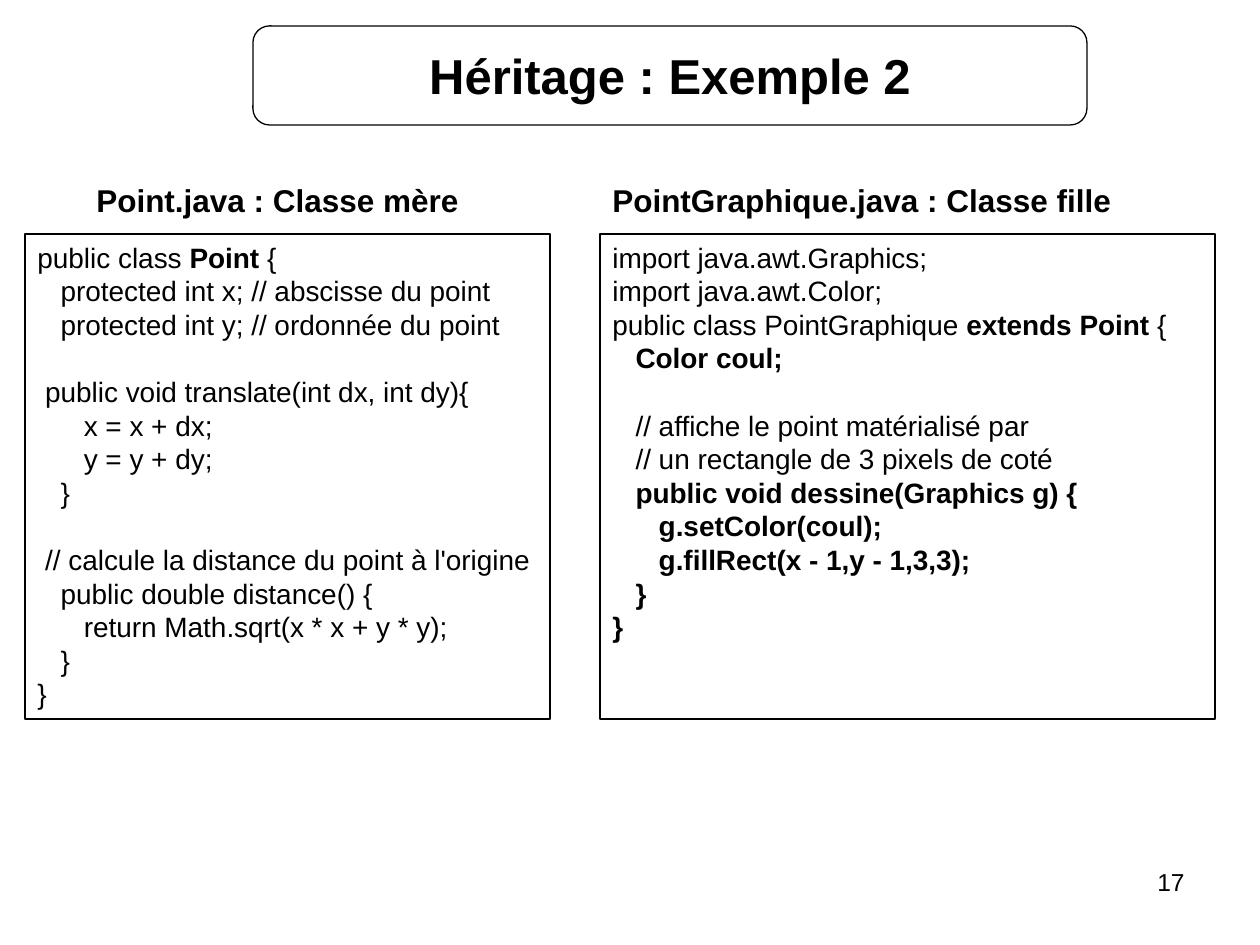
"""Build the slide comparing a Java parent class with its child class."""
from pptx import Presentation, util as u
from pptx.dml.color import RGBColor
from pptx.enum import shapes, text

THEME = {
    "font": "Arial", "ink": RGBColor(0, 0, 0), "line": u.Pt(0.75), "leading": 1.2,
    "title": 28, "heading": 18, "code": 16, "number": 14,
}
PX = u.Inches(1) / 126


def px(*lengths):
    return [round(length * PX) for length in lengths]


def write(holder, lines, size, bold=False, align=text.PP_ALIGN.LEFT,
          anchor=text.MSO_ANCHOR.TOP, wrap=True):
    frame = holder.text_frame
    for name, value in {"word_wrap": wrap, "vertical_anchor": anchor}.items():
        setattr(frame, name, value)
    pitch = u.Pt(round(size * THEME["leading"], 1))
    paragraph, gap = frame.paragraphs[0], 0
    for line in lines:
        if not line:
            gap = pitch
            continue
        if paragraph.runs:
            paragraph = frame.add_paragraph()
        layout = {"alignment": align, "line_spacing": pitch}
        if gap:
            layout["space_before"] = gap
        for name, value in layout.items():
            setattr(paragraph, name, value)
        gap = 0
        for part, words in enumerate(line.split("**")):
            if words:
                run = paragraph.add_run()
                run.text = words
                style = {"name": THEME["font"], "size": u.Pt(size), "bold": bold or part % 2 == 1}
                for name, value in style.items():
                    setattr(run.font, name, value)
                run.font.color.rgb = THEME["ink"]


parent_code = """public class **Point **{
   protected int x; // abscisse du point
   protected int y; // ordonnée du point

 public void translate(int dx, int dy){
      x = x + dx;
      y = y + dy;
   }

 // calcule la distance du point à l'origine
   public double distance() {
      return Math.sqrt(x * x + y * y);
   }
}"""

child_code = """import java.awt.Graphics;
import java.awt.Color;
public class PointGraphique **extends Point **{
**   Color coul;**

   // affiche le point matérialisé par
   // un rectangle de 3 pixels de coté
**   public void dessine(Graphics g) {**
**      g.setColor(coul);**
**      g.fillRect(x - 1,y - 1,3,3);**
**   }**
**}**"""

center = {"align": text.PP_ALIGN.CENTER, "anchor": text.MSO_ANCHOR.MIDDLE, "wrap": False}
RECT, ROUNDED = shapes.MSO_SHAPE.RECTANGLE, shapes.MSO_SHAPE.ROUNDED_RECTANGLE
framed = [
    (RECT, (25, 234, 525, 485), parent_code, "code", {}),
    (ROUNDED, (253, 26, 834, 99), "Héritage : Exemple 2", "title", {"bold": True, **center}),
    (RECT, (600, 234, 615, 485), child_code, "code", {}),
]
labels = [
    ((84, 175, 456, 50), "Point.java : Classe mère", "heading", {"bold": True}),
    ((600, 175, 556, 50), "PointGraphique.java : Classe fille", "heading", {"bold": True}),
    ((903, 861, 294, 66), "17", "number", {"align": text.PP_ALIGN.RIGHT}),
]

deck = Presentation()
deck.slide_width, deck.slide_height = px(1260, 945)
slide = deck.slides.add_slide(deck.slide_layouts[6])

for outline, place, content, role, options in framed:
    panel = slide.shapes.add_shape(outline, *px(*place))
    panel.shadow.inherit = False
    panel.fill.background()
    panel.line.color.rgb = THEME["ink"]
    panel.line.width = THEME["line"]
    write(panel, content.splitlines(), THEME[role], **options)

for place, content, role, options in labels:
    write(slide.shapes.add_textbox(*px(*place)), [content], THEME[role], **options)

deck.save("out.pptx")
